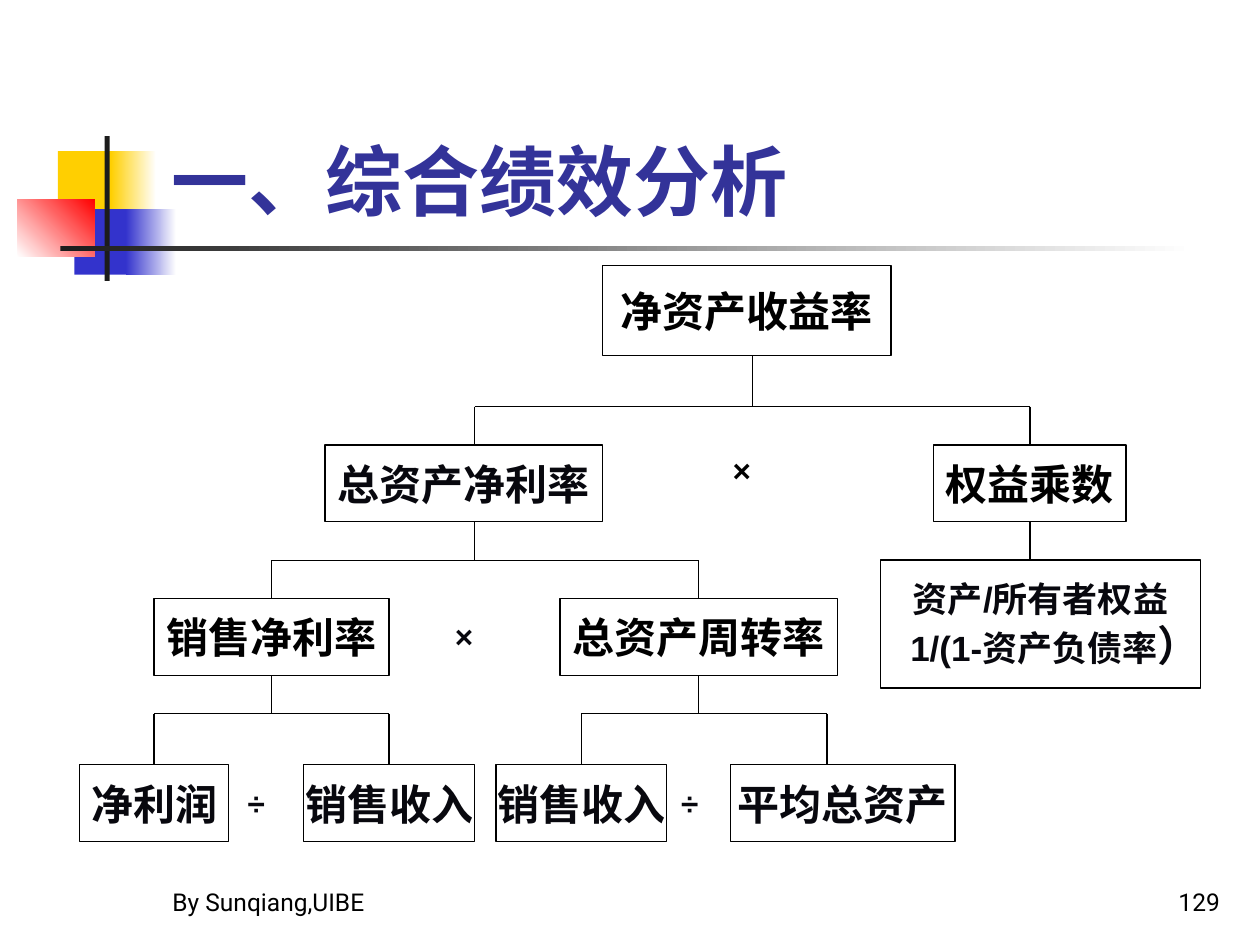
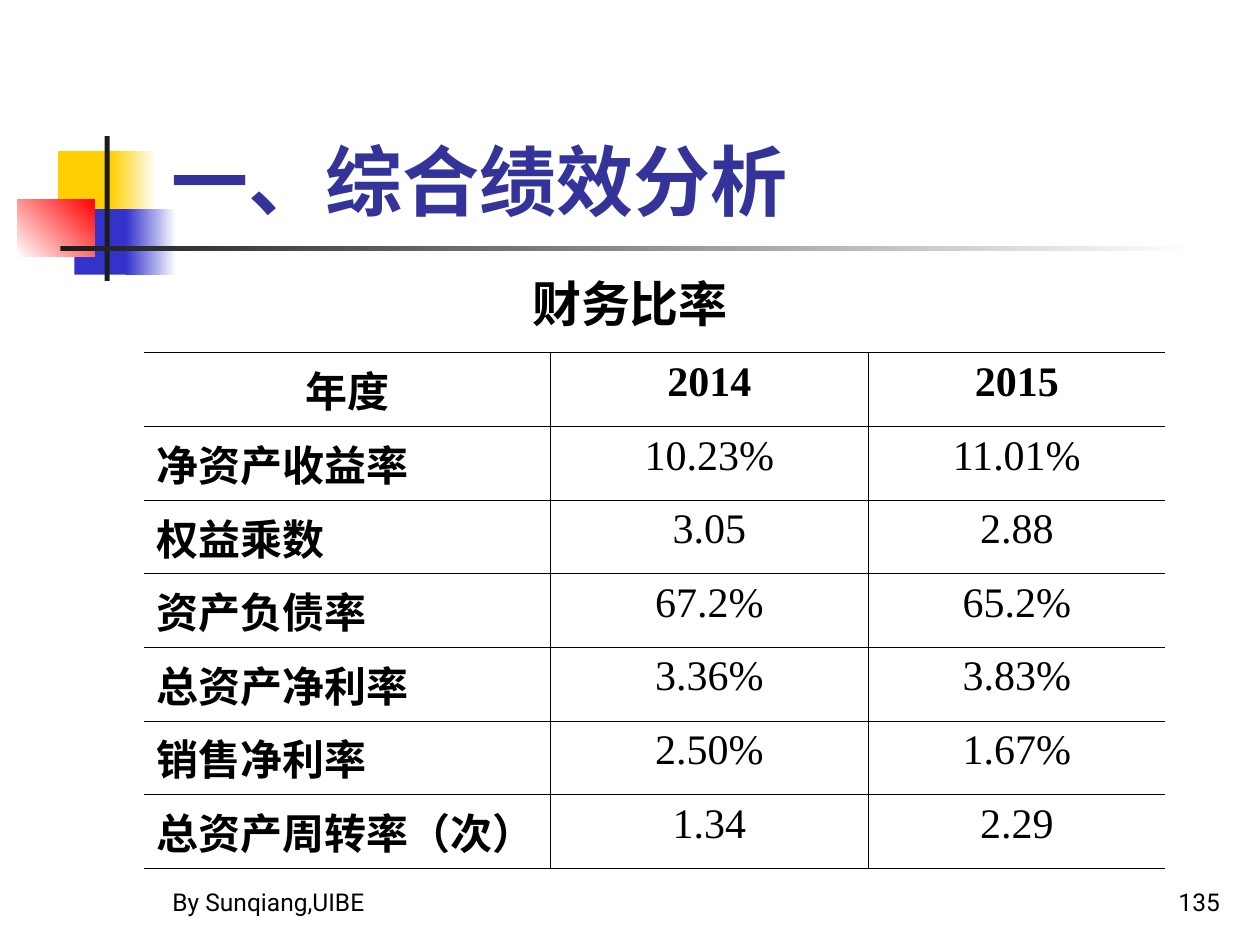
from dataclasses import dataclass

from lxml import etree
from pptx import Presentation
from pptx import util as u
from pptx.dml.color import RGBColor
from pptx.enum import shapes, text
from pptx.oxml.ns import qn

BLACK = RGBColor(0x00, 0x00, 0x00)
INK = RGBColor(0x08, 0x08, 0x0E)
CHARCOAL = RGBColor(0x1C, 0x1C, 0x1C)
WHITE = RGBColor(0xFF, 0xFF, 0xFF)
YELLOW = RGBColor(0xFF, 0xCF, 0x01)
BLUE = RGBColor(0x33, 0x33, 0xCC)
RED = RGBColor(0xFF, 0x00, 0x00)
TITLE_BLUE = RGBColor(0x33, 0x33, 0x99)

LEFT, CENTER, RIGHT = text.PP_ALIGN.LEFT, text.PP_ALIGN.CENTER, text.PP_ALIGN.RIGHT
TOP, BOTTOM = text.MSO_ANCHOR.TOP, text.MSO_ANCHOR.BOTTOM

TITLE = "一、综合绩效分析"
AUTHOR = "By Sunqiang,UIBE"

MOTIF = [
    ((0.46, 1.2, 0.48, 0.52), (YELLOW,), 0),
    ((0.88, 1.2, 0.36, 0.52), (YELLOW, WHITE), 0),
    ((0.59, 1.66, 0.46, 0.52), (BLUE,), 0),
    ((1, 1.66, 0.4, 0.52), (BLUE, WHITE), 0),
    ((0.14, 1.58, 0.61, 0.46), (WHITE, RED), 45),
    ((0.83, 1.08, 0.04, 1.15), (CHARCOAL,), 0),
    ((0.48, 1.95, 9, 0.04), (CHARCOAL, WHITE), 0),
]


@dataclass
class Node:
    label: str
    column: float
    columns: float
    stem: float
    ink: RGBColor = INK
    children: tuple = ()


TREE = Node("净资产收益率", 24.5, 13.5, 31.5, BLACK, (
    Node("总资产净利率", 11.5, 13, 18.5, INK, (
        Node("销售净利率", 3.5, 11, 9, BLACK, (
            Node("净利润", 0, 7, 3.5),
            Node("销售收入", 10.5, 8, 14.5))),
        Node("总资产周转率", 22.5, 13, 29, BLACK, (
            Node("销售收入", 19.5, 8, 23.5),
            Node("平均总资产", 30.5, 10.5, 35))))),
    Node("权益乘数", 40, 9, 44.5, BLACK, (
        Node("资产/所有者权益\n1/(1-资产负债率）", 37.5, 15, 44.5),))))

OPERATORS = [("×", 30, 14, BLACK), ("×", 17, 27, INK), ("÷", 7.3, 40, INK), ("÷", 27.6, 40, INK)]

TREE_COLUMNS, TREE_ROWS = 52.5, 45
LEVEL_ROWS = (0, 14, 26, 39)
BAR_ROWS = (11, 23, 35)

RATIOS = [
    ("年度", "2014", "2015"),
    ("净资产收益率", "10.23%", "11.01%"),
    ("权益乘数", "3.05", "2.88"),
    ("资产负债率", "67.2%", "65.2%"),
    ("总资产净利率", "3.36%", "3.83%"),
    ("销售净利率", "2.50%", "1.67%"),
    ("总资产周转率（次）", "1.34", "2.29"),
]
RATIO_COLUMNS = (3.23, 2.52, 2.36)


def inches(*lengths):
    return [u.Inches(length) for length in lengths]


def style(paragraph, font_name, size, color, bold=False, align=LEFT):
    paragraph.alignment = align
    font = paragraph.font
    font.name, font.size, font.bold = font_name, u.Pt(size), bold
    font.color.rgb = color


def add_text(slide, box, words, font_name, size, color, bold=False, align=LEFT, anchor=TOP):
    frame = slide.shapes.add_textbox(*inches(*box)).text_frame
    frame.word_wrap = True
    frame.vertical_anchor = anchor
    paragraph = frame.paragraphs[0]
    paragraph.text = words
    style(paragraph, font_name, size, color, bold, align)
    return paragraph


def add_rectangle(slide, box):
    rectangle = slide.shapes.add_shape(shapes.MSO_SHAPE.RECTANGLE, *inches(*box))
    rectangle.shadow.inherit = False
    return rectangle


def add_motif(slide):
    for box, colors, angle in MOTIF:
        block = add_rectangle(slide, box)
        block.line.fill.background()
        if len(colors) == 1:
            block.fill.solid()
            block.fill.fore_color.rgb = colors[0]
            continue
        block.fill.gradient()
        block.fill.gradient_angle = angle
        for stop, color in zip(block.fill.gradient_stops, colors):
            stop.color.rgb = color


def add_frame(presentation, number):
    slide = presentation.slides.add_slide(presentation.slide_layouts[6])
    add_motif(slide)
    title = add_text(slide, (1.26, 0.24, 8.52, 1.6), TITLE, "Roboto", 44, TITLE_BLUE, True, anchor=BOTTOM)
    title.line_spacing = 1.15
    for left, words, align in ((1.27, AUTHOR, LEFT), (7.7, str(number), RIGHT)):
        add_text(slide, (left, 6.82, 2.08, 0.5), words, "Roboto", 14, BLACK, align=align, anchor=BOTTOM)
    return slide


class TreeChart:
    def __init__(self, slide, box):
        self.slide = slide
        self.left, self.top, width, height = box
        self.column, self.row = width / TREE_COLUMNS, height / TREE_ROWS

    def point(self, column, row):
        return inches(self.left + column * self.column, self.top + row * self.row)

    def box(self, column, row, columns, rows):
        return (self.left + column * self.column, self.top + row * self.row,
                columns * self.column, rows * self.row)

    def add_line(self, start, end):
        line = self.slide.shapes.add_connector(
            shapes.MSO_CONNECTOR.STRAIGHT, *self.point(*start), *self.point(*end))
        line.line.color.rgb = BLACK
        line.line.width = u.Pt(0.75)
        etree.SubElement(line._element.spPr, qn("a:effectLst"))
        return line

    def add_box(self, node, row, rows):
        rectangle = add_rectangle(self.slide, self.box(node.column, row, node.columns, rows))
        rectangle.fill.background()
        rectangle.line.color.rgb = BLACK
        rectangle.line.width = u.Pt(0.75)
        frame = rectangle.text_frame
        frame.word_wrap = False
        frame.text = node.label
        formula = len(frame.paragraphs) > 1
        for paragraph in frame.paragraphs:
            style(paragraph, "Arial", 20 if formula else 24, node.ink, True, CENTER)
        if formula:
            last = frame.paragraphs[-1]
            last._p.get_or_add_pPr().set("marL", str(u.Inches(0.23)))
            last.runs[0].text = node.label.splitlines()[-1][:-1]
            bracket = last.add_run()
            bracket.text = "）"
            bracket.font.size = u.Pt(24)
        return rectangle

    def add_node(self, node, level=0, row=0):
        rows = 7 if level == 0 else 10 if "\n" in node.label else 6
        rectangle = self.add_box(node, row, rows)
        centered = node.column + node.columns / 2 == node.stem
        if not node.children:
            return rectangle, centered
        bar = BAR_ROWS[level]
        trunk = self.add_line((node.stem, row + rows), (node.stem, bar))
        if centered:
            trunk.begin_connect(rectangle, 2)
        if len(node.children) == 1:
            self.add_node(node.children[0], level + 1, bar)
            return rectangle, centered
        self.add_line((node.children[0].stem, bar), (node.children[-1].stem, bar))
        child_row = LEVEL_ROWS[level + 1]
        for child in node.children:
            child_box, child_centered = self.add_node(child, level + 1, child_row)
            branch = self.add_line((child.stem, bar), (child.stem, child_row))
            if child_centered:
                branch.end_connect(child_box, 0)
        return rectangle, centered

    def add_operators(self):
        for sign, column, row, ink in OPERATORS:
            add_text(self.slide, self.box(column, row, 3, 4), sign, "Arial", 18, ink, True)


def set_borders(cell, widths):
    properties = cell._tc.get_or_add_tcPr()
    for index, (side, width) in enumerate(zip("LRTB", widths)):
        line = etree.Element(qn(f"a:ln{side}"), w=str(u.Pt(width)))
        if width:
            fill = etree.SubElement(line, qn("a:solidFill"))
            etree.SubElement(fill, qn("a:srgbClr"), val=str(BLACK))
        else:
            etree.SubElement(line, qn("a:noFill"))
        properties.insert(index, line)


def add_ratio_table(slide, box):
    last_column = len(RATIO_COLUMNS) - 1
    table = slide.shapes.add_table(len(RATIOS), len(RATIO_COLUMNS), *inches(*box)).table
    table.first_row = table.horz_banding = False
    for column, width in zip(table.columns, RATIO_COLUMNS):
        column.width = u.Inches(width)
    for i, values in enumerate(RATIOS):
        for j, value in enumerate(values):
            cell = table.cell(i, j)
            cell.text = value
            cell.fill.background()
            style(cell.text_frame.paragraphs[0], "Times New Roman", 24, BLACK,
                  i == 0 or j == 0, LEFT if i and j == 0 else CENTER)
            set_borders(cell, (0.45 if j else 0, 0.45 if j < last_column else 0, 0.45, 0.45))


def build_tree_slide(presentation):
    slide = add_frame(presentation, 129)
    chart = TreeChart(slide, (0.63, 2.11, 8.9, 4.57))
    chart.add_node(TREE)
    chart.add_operators()


def build_ratio_slide(presentation):
    slide = add_frame(presentation, 135)
    heading = add_text(slide, (0.98, 2.1, 8.04, 0.62), "财务比率", "Roboto", 28, BLACK, True, CENTER)
    heading.line_spacing = 1.05
    add_ratio_table(slide, (1.14, 2.8, sum(RATIO_COLUMNS), 4.09))


def main():
    presentation = Presentation()
    presentation.slide_width, presentation.slide_height = inches(10, 7.5)
    build_tree_slide(presentation)
    build_ratio_slide(presentation)
    presentation.save("out.pptx")


if __name__ == "__main__":
    main()
